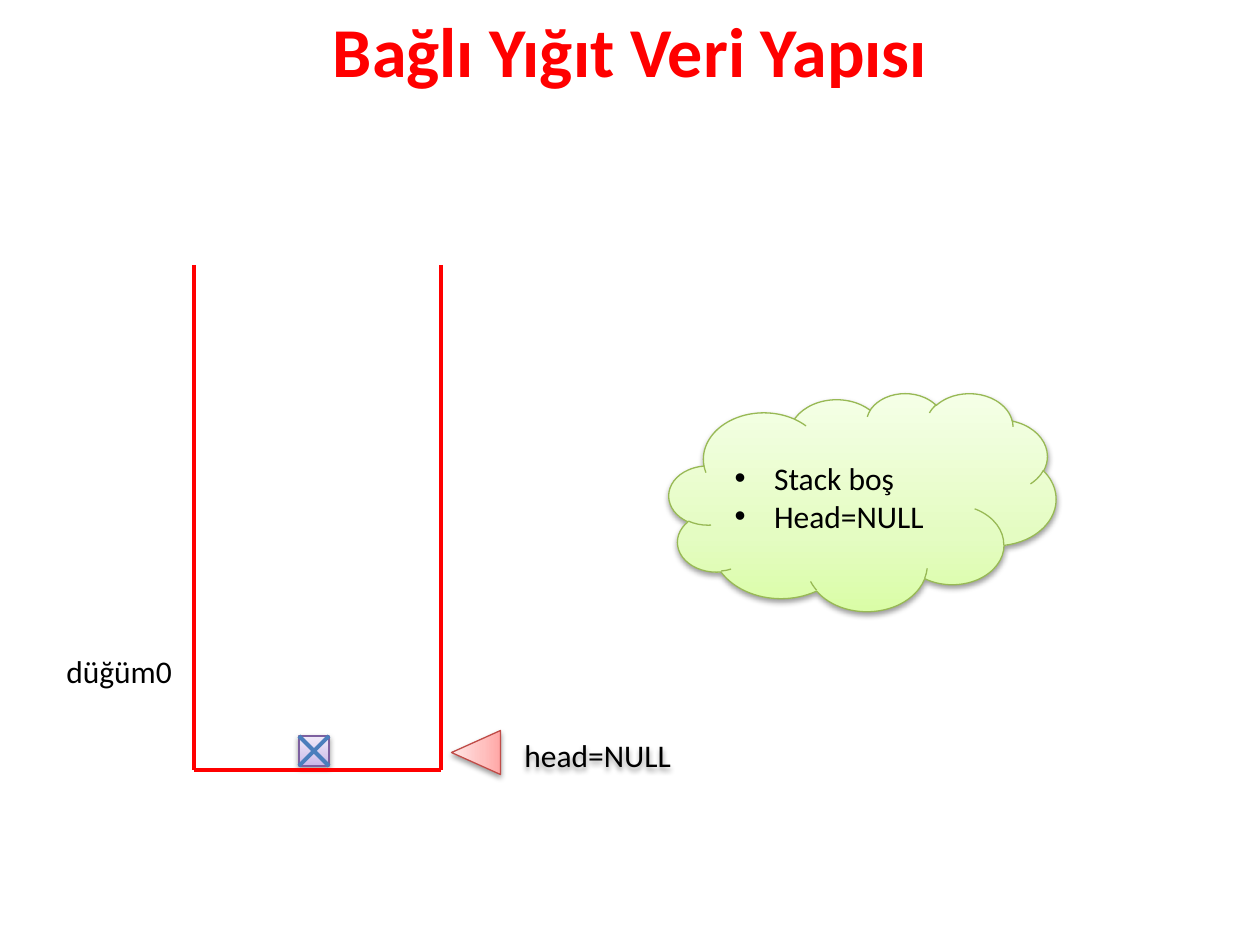
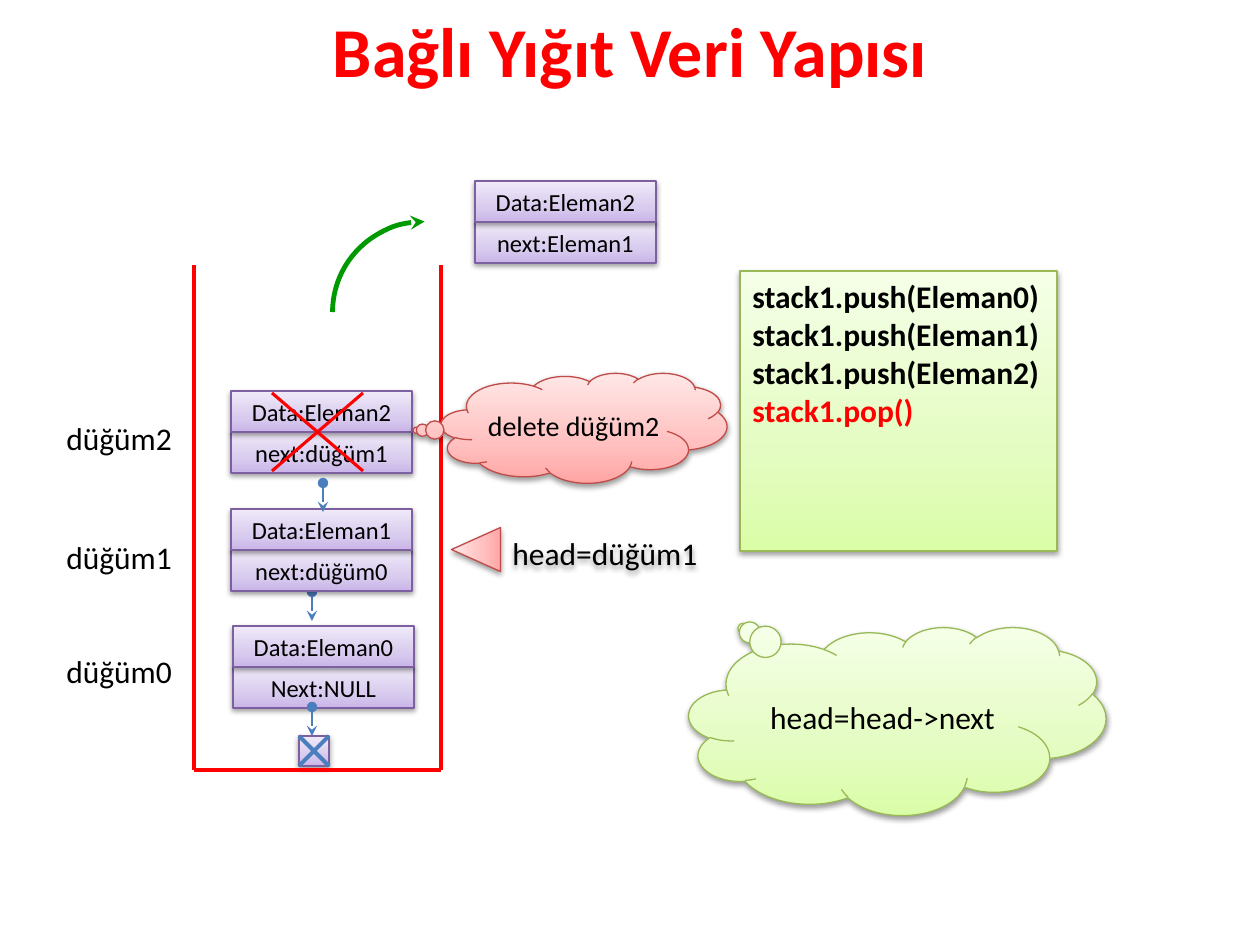
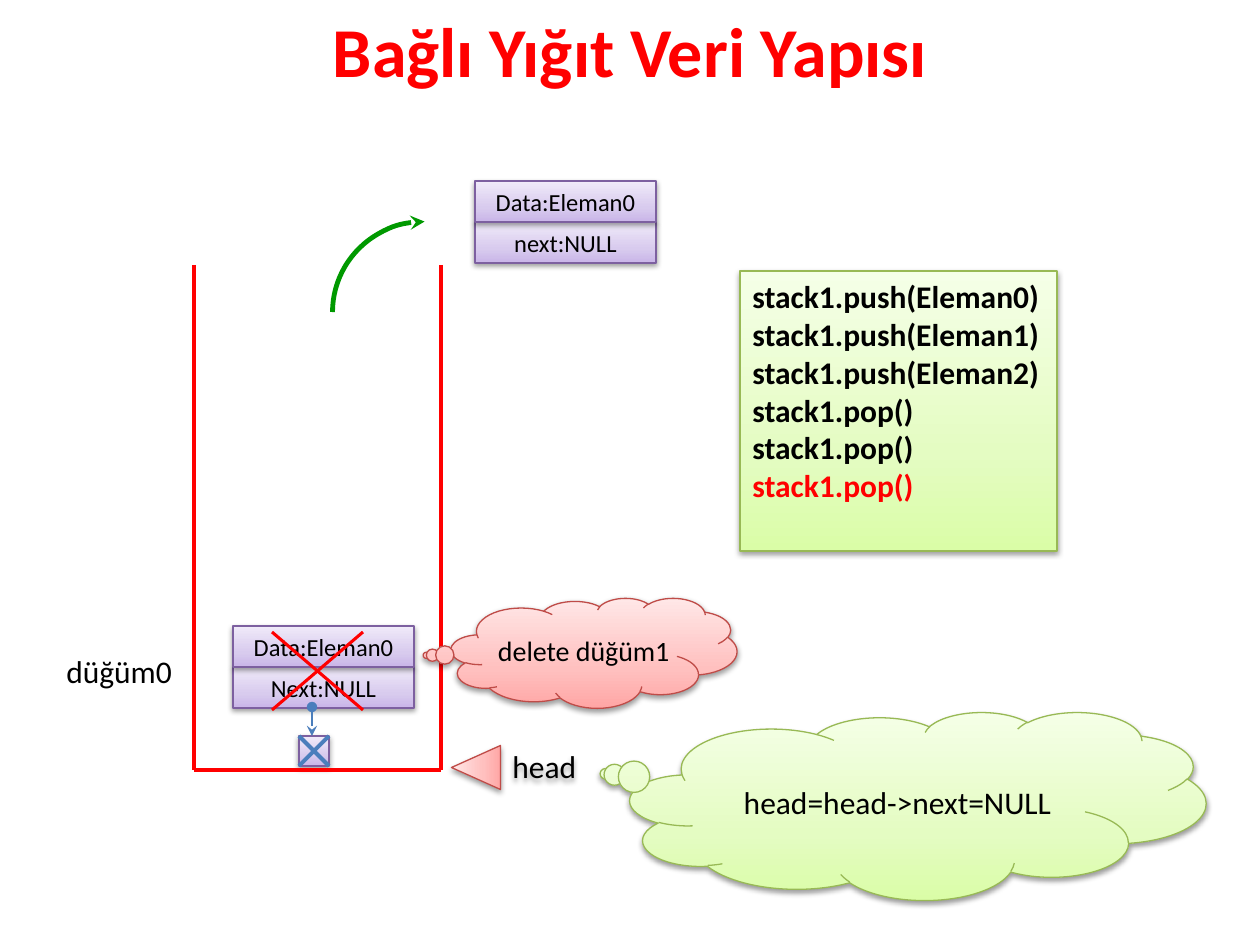
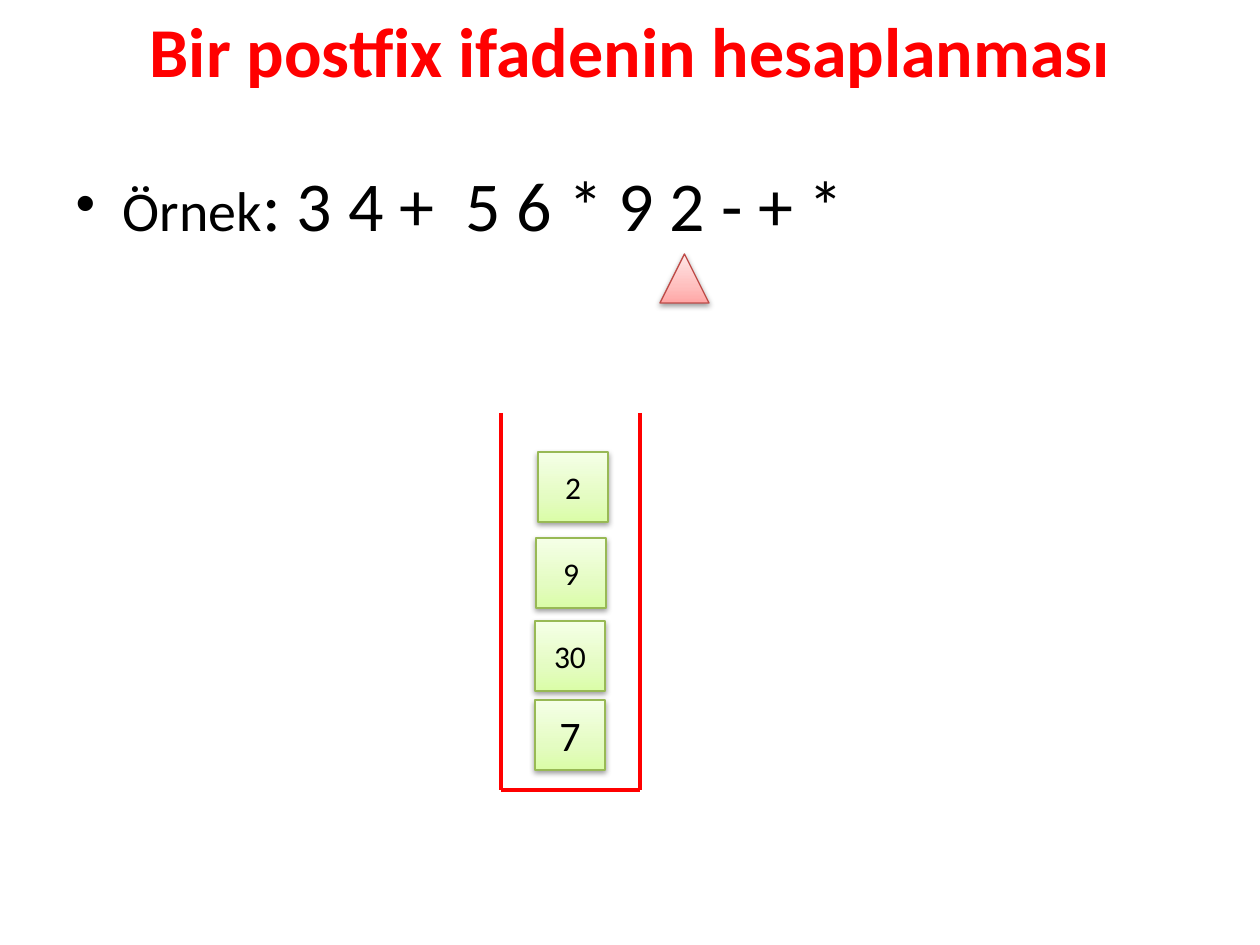
import copy
import pptx
import pptx.dml.color
import pptx.enum.shapes
import pptx.enum.text
import pptx.oxml
import pptx.oxml.ns
import pptx.util

RGB = pptx.dml.color.RGBColor
Pt = pptx.util.Pt
SHAPE = pptx.enum.shapes.MSO_SHAPE
ALIGN = pptx.enum.text.PP_ALIGN
ANCHOR = pptx.enum.text.MSO_ANCHOR
qn = pptx.oxml.ns.qn

FONT = "Calibri"
BLACK = RGB(0, 0, 0)
RED = RGB(255, 0, 0)
GREEN = RGB(0, 0x99, 0)
BLUE = RGB(0x4B, 0x7E, 0xBC)
PURPLE_LINE = RGB(0x7D, 0x60, 0xA0)
LIME_LINE = RGB(0x98, 0xB9, 0x55)
ROSE_LINE = RGB(0xBF, 0x4C, 0x48)
PURPLE = (PURPLE_LINE, RGB(0xC9, 0xB5, 0xE8), RGB(0xD8, 0xCB, 0xEE), RGB(0xF0, 0xEA, 0xF9))
LIME = (LIME_LINE, RGB(0xDA, 0xFD, 0xA7), RGB(0xE4, 0xFC, 0xC2), RGB(0xF5, 0xFF, 0xE7))
ROSE = (ROSE_LINE, RGB(0xFF, 0xA6, 0xA5), RGB(0xFF, 0xC0, 0xBF), RGB(0xFF, 0xE7, 0xE7))
STOPS = (0, 0.35, 1)

NODE_W, ROW_H = 181, 41
WELL = (194, 265, 247, 505)
POPPED = (475, 181)
NODE0, NODE1, NODE2 = (233, 626), (231, 509), (231, 391)
STACK_TITLE = "Bağlı Yığıt Veri Yapısı"
PUSHES = [f"stack1.push(Eleman{i})" for i in range(3)]
POP = "stack1.pop()"


def px(*lengths):
    """Turn picture pixels into EMU."""
    return [round(length * 914400 / 126) for length in lengths]


def drawing(xml):
    """Parse one DrawingML element."""
    uri = "http://schemas.openxmlformats.org/drawingml/2006/main"
    return pptx.oxml.parse_xml(xml.replace("/>", f' xmlns:a="{uri}"/>', 1)
                               if xml.count("<") == 1 else xml.replace(">", f' xmlns:a="{uri}">', 1))


def add_shadow(shape):
    """Give a shape the soft shadow below it."""
    shape.shadow.inherit = False
    shape._element.spPr.find(qn("a:effectLst")).append(drawing(
        '<a:outerShdw blurRad="40000" dist="20000" dir="5400000" rotWithShape="0">'
        '<a:srgbClr val="000000"><a:alpha val="38000"/></a:srgbClr></a:outerShdw>'))


def add_run(paragraph, text, size, color=BLACK, bold=False):
    """Add one formatted run."""
    run = paragraph.add_run()
    run.text = text
    run.font.name = FONT
    run.font.size = Pt(size)
    run.font.bold = bold
    run.font.color.rgb = color


def write(shape, lines, size, align=ALIGN.CENTER, anchor=ANCHOR.MIDDLE, bold=False, last=BLACK):
    """Write lines as paragraphs, the last one in its own colour."""
    frame = shape.text_frame
    frame.word_wrap = True
    frame.vertical_anchor = anchor
    for i, line in enumerate(lines):
        paragraph = frame.paragraphs[0] if i == 0 else frame.add_paragraph()
        paragraph.alignment = align
        add_run(paragraph, line, size, last if i == len(lines) - 1 else BLACK, bold)


def add_block(shapes, kind, box, palette):
    """Add a preset shape with gradient, thin outline and shadow."""
    block = shapes.add_shape(kind, *px(*box))
    outline, *tints = palette
    block.fill.gradient()
    block.fill.gradient_angle = 90
    stop_list = block._element.spPr.find(".//" + qn("a:gsLst"))
    stop_list.insert(1, copy.deepcopy(stop_list[0]))
    for stop, position, tint in zip(block.fill.gradient_stops, STOPS, tints):
        stop.position = position
        stop.color.rgb = tint
    block.line.color.rgb = outline
    block.line.width = Pt(0.75)
    add_shadow(block)
    return block


def add_line(shapes, start, end, color, width):
    """Add a straight line without shadow."""
    line = shapes.add_connector(pptx.enum.shapes.MSO_CONNECTOR.STRAIGHT, *px(*start, *end))
    line.line.color.rgb = color
    line.line.width = Pt(width)
    line._element.spPr.append(drawing("<a:effectLst/>"))
    return line


def add_ends(line, *ends):
    """Set line ends given as (tag, type) pairs."""
    for tag, kind in ends:
        line.line._get_or_add_ln().append(drawing(f'<a:{tag} type="{kind}"/>'))


def add_cross(shapes, box, color, width):
    """Draw both diagonals of a box."""
    x, y, w, h = box
    add_line(shapes, (x + w, y), (x, y + h), color, width)
    add_line(shapes, (x, y), (x + w, y + h), color, width)


def add_strike(slide, box):
    """Cross out a node in red."""
    add_cross(slide.shapes.add_group_shape().shapes, box, RED, 1.75)


def add_null_box(slide, box):
    """Draw the crossed box that ends the list."""
    parts = slide.shapes.add_group_shape().shapes
    add_block(parts, SHAPE.RECTANGLE, box, PURPLE)
    add_cross(parts, box, BLUE, 2.25)


def add_well(slide, box):
    """Draw the open-topped stack."""
    x, y, w, h = box
    parts = slide.shapes.add_group_shape().shapes
    for side in (x, x + w):
        add_line(parts, (side, y), (side, y + h), RED, 2.5)
    add_line(parts, (x, y + h), (x + w, y + h), RED, 2.5)


def add_node(slide, corner, data, following):
    """Draw a list node: data row above next row."""
    x, y = corner
    parts = slide.shapes.add_group_shape().shapes
    for row, text in ((1, following), (0, data)):
        cell = add_block(parts, SHAPE.RECTANGLE, (x, y + row * ROW_H, NODE_W, ROW_H), PURPLE)
        write(cell, [text], 14)


def add_next_arrow(slide, x, y):
    """Draw the pointer from a node to the one below."""
    arrow = add_line(slide.shapes, (x, y), (x, y + 29), BLUE, 0.75)
    add_ends(arrow, ("headEnd", "oval"), ("tailEnd", "stealth"))


def add_label(slide, box, text):
    """Add a plain 18 point label."""
    label = slide.shapes.add_textbox(*px(*box))
    write(label, [text], 18, ALIGN.LEFT, ANCHOR.TOP)
    return label


def add_node_label(slide, y, text):
    """Name a node left of the stack."""
    add_label(slide, (54, y, 139, 50), text)


def add_head(slide, y, text_corner, text):
    """Add the head marker and its shadowed label."""
    marker = add_block(slide.shapes, SHAPE.ISOSCELES_TRIANGLE, (454, y, 44, 49), ROSE)
    marker.rotation = 270
    add_shadow(add_label(slide, (*text_corner, 218, 50), text))


def add_code(slide, lines):
    """List the calls so far, the current one in red."""
    code = add_block(slide.shapes, SHAPE.RECTANGLE, (740, 271, 317, 280), LIME)
    write(code, lines, 18, ALIGN.LEFT, ANCHOR.TOP, True, RED)


def add_callout(slide, box, tip, text, palette=LIME, size=18):
    """Add a thought cloud whose bubbles lead to the tip."""
    callout = add_block(slide.shapes, SHAPE.CLOUD_CALLOUT, box, palette)
    callout.adjustments[0], callout.adjustments[1] = tip
    write(callout, [text], size)
    return callout


def add_delete_note(slide, corner, text):
    """Add the rose cloud that deletes a node."""
    note = add_callout(slide, (*corner, 286, 110), (-0.587, 0.021), text, ROSE, 16)
    note.text_frame.margin_left = note.text_frame.margin_right = 0


def add_pop_arc(slide):
    """Draw the green arrow leaving the stack."""
    arc = slide.shapes.add_shape(SHAPE.ARC, *px(334, 220, 181, 184))
    arc.rotation = 270
    arc.fill.background()
    arc.line.color.rgb = GREEN
    arc.line.width = Pt(2.75)
    arc.shadow.inherit = False
    add_ends(arc, ("tailEnd", "stealth"))


def add_state_cloud(slide, box, lines):
    """Add the cloud with a bulleted state."""
    cloud = add_block(slide.shapes, SHAPE.CLOUD, box, LIME)
    write(cloud, lines, 18, ALIGN.LEFT)
    for paragraph in cloud.text_frame.paragraphs:
        properties = paragraph._p.get_or_add_pPr()
        properties.set("marL", "285750")
        properties.set("indent", "-285750")
        properties.append(drawing('<a:buFont typeface="Arial"/>'))
        properties.append(drawing('<a:buChar char="•"/>'))


def place(shape, box):
    """Move a placeholder to a box."""
    shape.left, shape.top, shape.width, shape.height = px(*box)


def add_slide(deck, layout, title):
    """Start a slide with the red title."""
    slide = deck.slides.add_slide(deck.slide_layouts[layout])
    heading = slide.shapes.title
    place(heading, (0, -4, 1260, 107))
    write(heading, [title], 40, bold=True, last=RED)
    return slide


def add_stack_slide(deck):
    """Start a linked stack slide with its empty list end."""
    slide = add_slide(deck, 5, STACK_TITLE)
    add_null_box(slide, (299, 736, 30, 30))
    return slide


def add_first_node(slide):
    """Draw the bottom node inside the stack."""
    add_node(slide, NODE0, "Data:Eleman0", "Next:NULL")
    add_well(slide, WELL)
    add_next_arrow(slide, 312, 707)
    add_node_label(slide, 646, "düğüm0")


def build_empty_stack(deck):
    """Show the empty stack."""
    slide = add_stack_slide(deck)
    add_well(slide, WELL)
    add_node_label(slide, 646, "düğüm0")
    add_head(slide, 728, (512, 730), "head=NULL")
    add_state_cloud(slide, (669, 393, 387, 218), ["Stack boş", "Head=NULL "])


def build_first_pop(deck):
    """Show the top node being popped."""
    slide = add_stack_slide(deck)
    add_first_node(slide)
    add_code(slide, PUSHES + [POP])
    add_head(slide, 525, (500, 528), "head=düğüm1")
    add_node(slide, POPPED, "Data:Eleman2", "next:Eleman1")
    add_next_arrow(slide, 312, 592)
    add_node(slide, NODE1, "Data:Eleman1", "next:düğüm0")
    add_node_label(slide, 532, "düğüm1")
    add_node(slide, NODE2, "Data:Eleman2", "next:düğüm1")
    add_next_arrow(slide, 323, 483)
    add_callout(slide, (689, 627, 417, 188), (-0.37, -0.492), "head=head->next")
    add_node_label(slide, 413, "düğüm2")
    add_strike(slide, (272, 393, 91, 78))
    add_delete_note(slide, (441, 373), "delete düğüm2")
    add_pop_arc(slide)


def build_last_pop(deck):
    """Show the last node being popped."""
    slide = add_stack_slide(deck)
    add_first_node(slide)
    add_code(slide, PUSHES + [POP] * 3)
    add_head(slide, 743, (500, 741), "head")
    add_pop_arc(slide)
    add_node(slide, POPPED, "Data:Eleman0", "next:NULL")
    add_callout(slide, (630, 712, 576, 188), (-0.543, -0.171), "head=head->next=NULL")
    add_strike(slide, (272, 632, 91, 78))
    add_delete_note(slide, (451, 598), "delete düğüm1")


def build_postfix(deck):
    """Show a postfix expression and its operand stack."""
    slide = add_slide(deck, 1, "Bir postfix ifadenin hesaplanması")
    example = slide.placeholders[1]
    place(example, (63, 155, 1134, 129))
    paragraph = example.text_frame.paragraphs[0]
    add_run(paragraph, "Örnek", 32)
    add_run(paragraph, ": 3 4 +  5 6 * 9 2 - + * ", 40)
    add_well(slide, (501, 413, 139, 377))
    add_block(slide.shapes, SHAPE.ISOSCELES_TRIANGLE, (660, 254, 49, 49), ROSE)
    operands = (("7", 535, 700, 24), ("30", 535, 621, 18), ("9", 536, 538, 18), ("2", 538, 452, 18))
    for value, x, y, size in operands:
        write(add_block(slide.shapes, SHAPE.RECTANGLE, (x, y, 70, 70), LIME), [value], size)


def main():
    """Build and save the deck."""
    deck = pptx.Presentation()
    deck.slide_width, deck.slide_height = px(1260, 945)
    for build in (build_empty_stack, build_first_pop, build_last_pop, build_postfix):
        build(deck)
    deck.save("out.pptx")


main()
